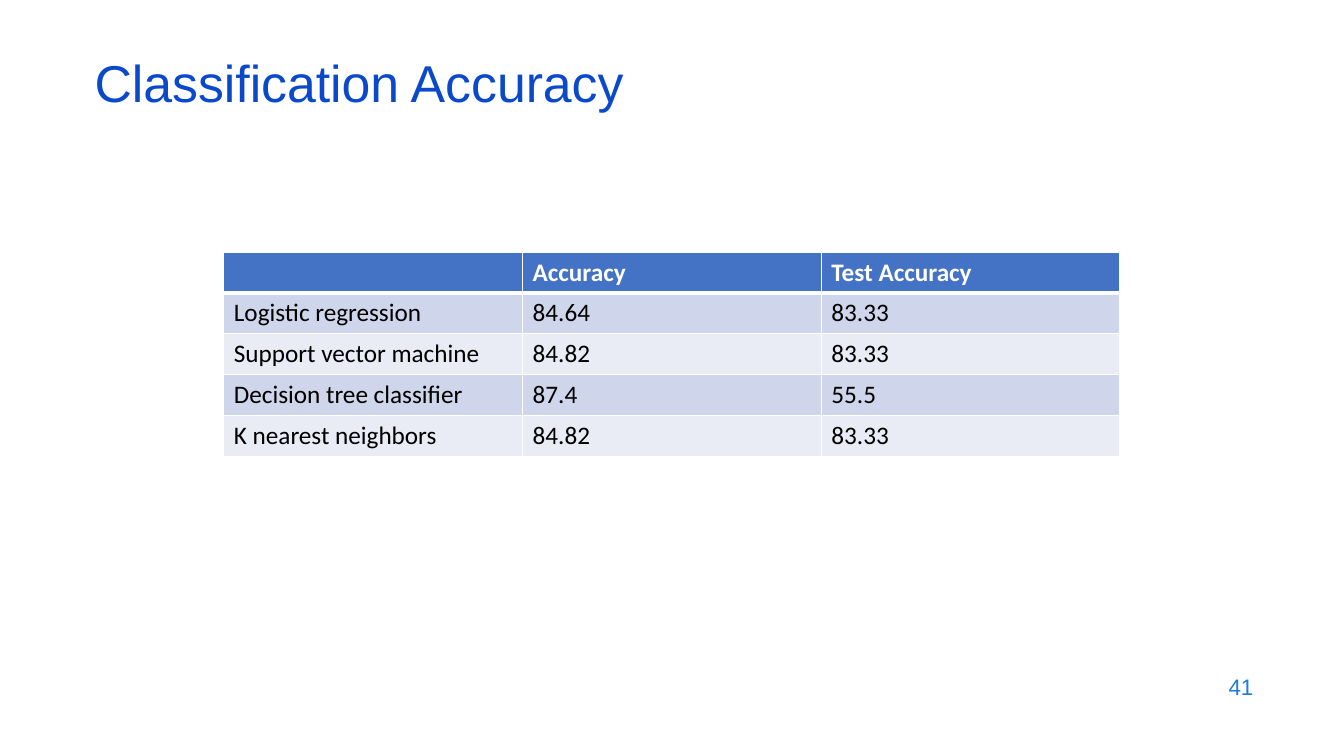
from lxml.etree import SubElement as Sub
from pptx import Presentation
from pptx.dml.color import RGBColor as RGB
from pptx.enum.text import MSO_ANCHOR as Anchor, PP_ALIGN as Align
from pptx.oxml.ns import qn
from pptx.util import Inches, Pt

TITLE = RGB(0x0B, 0x49, 0xCB)
NUMBER = RGB(0x1C, 0x7D, 0xDB)
HEAD = RGB(0x44, 0x72, 0xC4)
BANDS = (RGB(0xE9, 0xEB, 0xF5), RGB(0xCF, 0xD5, 0xEA))
WHITE = RGB(0xFF, 0xFF, 0xFF)
BLACK = RGB(0, 0, 0)

ROWS = (
    ("", "Accuracy", "Test Accuracy"),
    ("Logistic regression", "84.64", "83.33"),
    ("Support vector machine", "84.82", "83.33"),
    ("Decision tree classifier", "87.4", "55.5"),
    ("K nearest neighbors", "84.82", "83.33"),
)


def add_run(para, text, size, font, color, bold=False):
    run = para.add_run()
    run.text = text
    run.font.size = Pt(size)
    run.font.name = font
    run.font.bold = bold
    run.font.color.rgb = color


def add_text(slide, box, text, size, color, align=Align.LEFT, spacing=1.0):
    frame = slide.shapes.add_textbox(*map(Inches, box)).text_frame
    frame.word_wrap = True
    frame.vertical_anchor = Anchor.MIDDLE
    para = frame.paragraphs[0]
    para.alignment = align
    para.line_spacing = spacing
    add_run(para, text, size, "Arial", color)


def add_edges(cell, widths):
    # Edges go in before the fill, as the schema orders them
    props = cell._tc.get_or_add_tcPr()
    for side, width in zip("LRTB", widths):
        line = Sub(props, qn(f"a:ln{side}"), w=str(Pt(width)))
        fill = Sub(line, qn("a:solidFill"))
        Sub(fill, qn("a:srgbClr"), val=str(WHITE))


def add_grid(slide, box, rows):
    frame = slide.shapes.add_table(len(rows), len(rows[0]), *map(Inches, box))
    table = frame.table
    for r, row in enumerate(rows):
        head = r == 0
        for c, text in enumerate(row):
            cell = table.cell(r, c)
            add_edges(cell, (1, 1, 3 if r == 1 else 1, 3 if head else 1))
            cell.fill.solid()
            cell.fill.fore_color.rgb = HEAD if head else BANDS[r % 2]
            if text:
                add_run(cell.text_frame.paragraphs[0], text, 18, "Calibri",
                        WHITE if head else BLACK, head)


def main():
    prs = Presentation()
    prs.slide_width, prs.slide_height = Inches(13.33), Inches(7.5)
    slide = prs.slides.add_slide(prs.slide_layouts[6])

    # Page number and title
    add_text(slide, (9.53, 6.59, 3, 0.44), "41", 16, NUMBER, Align.RIGHT)
    add_text(slide, (0.84, 0.59, 11.5, 0.6), "Classification Accuracy",
             37, TITLE, spacing=0.7)

    # Accuracy of each classifier
    add_grid(slide, (2.22, 2.5, 8.89, 2.03), ROWS)

    prs.save("out.pptx")


if __name__ == "__main__":
    main()
